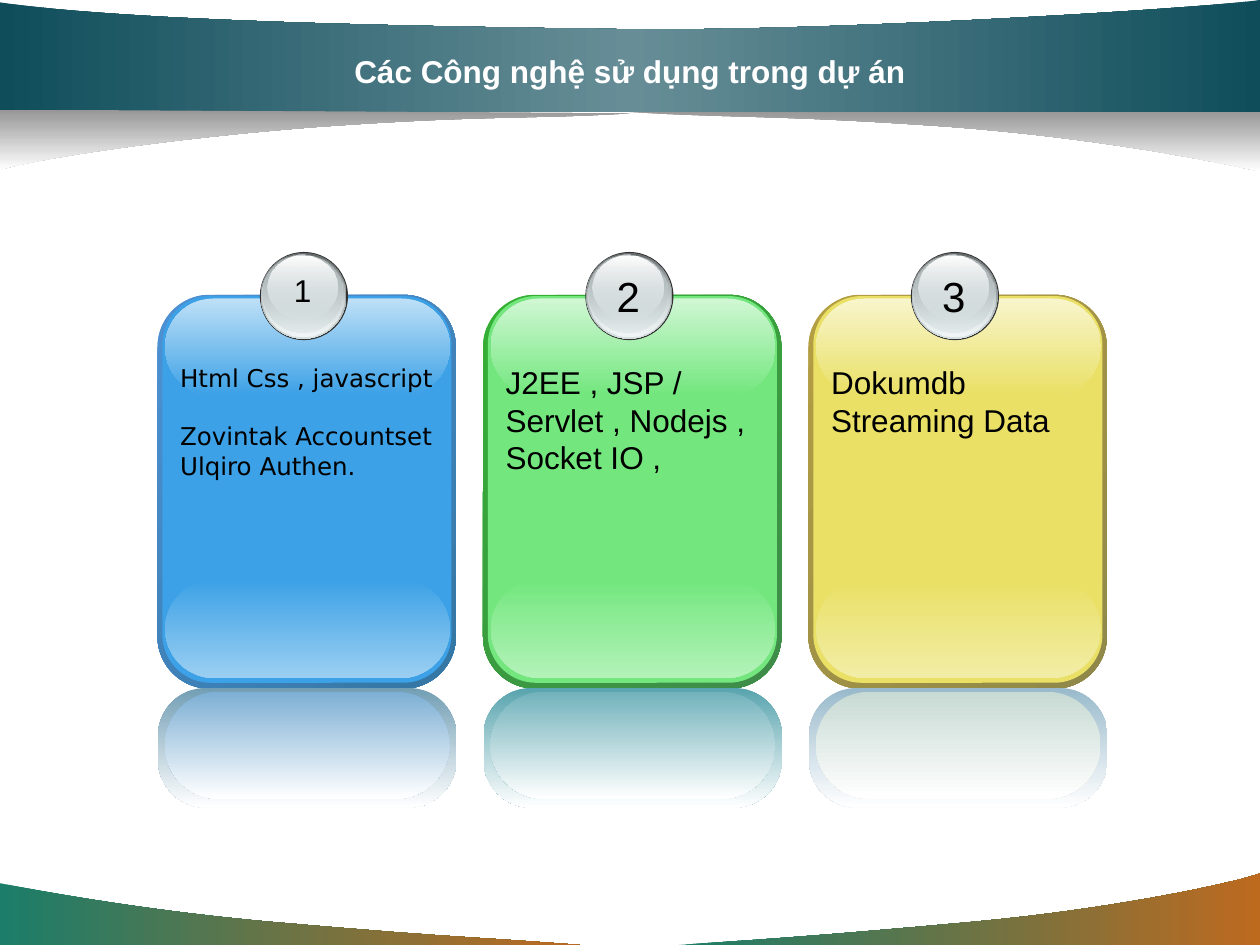
from dataclasses import dataclass
from typing import NamedTuple

from lxml import etree
from pptx import Presentation
from pptx.dml.color import RGBColor
from pptx.enum.shapes import MSO_SHAPE
from pptx.enum.text import MSO_ANCHOR, PP_ALIGN
from pptx.oxml.ns import qn
from pptx.shapes.autoshape import Shape
from pptx.shapes.shapetree import SlideShapes
from pptx.util import Pt

ROUNDED = MSO_SHAPE.ROUNDED_RECTANGLE
OVAL = MSO_SHAPE.OVAL
CENTER = PP_ALIGN.CENTER
LEFT = PP_ALIGN.LEFT
MIDDLE = MSO_ANCHOR.MIDDLE
TOP = MSO_ANCHOR.TOP

ACROSS, DIAGONAL, DOWN = 0, 45, 90
CURVE_STEPS = 24


class Stop(NamedTuple):
    position: int
    color: str
    opacity: int = 100


class Fill(NamedTuple):
    stops: tuple[Stop, ...]
    angle: int = DOWN


class Box(NamedTuple):
    left: float
    top: float
    width: float
    height: float

    def shifted(self, distance: float) -> "Box":
        return self._replace(left=self.left + distance)


class Font(NamedTuple):
    name: str
    size: int
    color: str = "000000"
    bold: bool = False


def blend(start: str, end: str, angle: int = DOWN,
          opacities: tuple[int, int] = (100, 100)) -> Fill:
    return Fill((Stop(0, start, opacities[0]), Stop(100, end, opacities[1])), angle)


def solid(color: str) -> Fill:
    return Fill((Stop(0, color),))


@dataclass(frozen=True)
class Theme:
    header: Fill = Fill((Stop(0, "0F4D5B"), Stop(50, "678E97"), Stop(100, "0F4D5B")), ACROSS)
    header_shadow: Fill = blend("969696", "FFFFFF")
    footer: Fill = blend("1B7D6A", "BD6A1F", ACROSS)
    title: Font = Font("Arial", 18, "FFFFFF", True)
    small_number: Font = Font("Arial", 18)
    number: Font = Font("Arial", 24)
    small_body: Font = Font("DejaVu Sans", 14)
    body: Font = Font("Arial", 18)


THEME = Theme()


@dataclass(frozen=True)
class Card:
    number: str
    lines: tuple[str, ...]
    rim: tuple[str, str]
    face: str
    low_glow: str
    high_glow: str
    reflections: tuple[str, str]
    number_font: Font = THEME.number
    body_font: Font = THEME.body
    line_gap: float = 0


class Wave(NamedTuple):
    """Outline whose segments are one point (line) or three (cubic curve)."""
    fill: Fill
    start: tuple[float, float]
    segments: tuple


WAVES = (
    Wave(THEME.footer, (331.2, 540), (
        ((276.5, 535.7), (257.8, 535.7), (167, 527.8)),
        ((76.3, 520.6), (0.7, 504.7), (0, 504.7)), ((0, 540),))),
    Wave(THEME.footer, (388, 540), (
        ((442, 536.4), (465, 535), (553.7, 527)),
        ((642.2, 519), (712.8, 502.6), (720, 499)), ((720, 540),))),
    Wave(THEME.header_shadow, (360, 64), (
        ((420.5, 67.7), (446.4, 65.5), (545.8, 72.7)),
        ((646.6, 80.6), (718.6, 97.9), (720, 97.9)), ((720, 63.4),))),
    Wave(THEME.header, (0, 64), (
        ((720, 64),), ((720, 0),),
        ((694, 4.3), (470.2, 18.7), (350.6, 16.6)),
        ((231, 15), (72.7, 12.2), (0, 1.4)))),
    Wave(THEME.header_shadow, (360, 64.8), (
        ((299.5, 68.4), (279.4, 65.5), (179.3, 72.7)),
        ((79.2, 80.6), (7.9, 93.6), (0, 97.2)), ((0, 62.6),))),
)

CARDS = (
    Card("1", ("Html Css , javascript", "Zovintak Accountset Ulqiro Authen."),
         ("4E91D4", "3477A4"), "3CA1E6", "9BCFF2", "BEE0F7", ("729EB4", "7DAFD4"),
         THEME.small_number, THEME.small_body, 16.5),
    Card("2", ("J2EE , JSP / Servlet , Nodejs ,", "Socket IO ,"),
         ("34B034", "3F8B4A"), "73E77E", "B3F2B9", "D0F7D4", ("58A4AE", "72B2BB")),
    Card("3", ("Dokumdb", "Streaming Data"),
         ("B59F43", "8F8849"), "E9E065", "F2EDA6", "F8F5CC", ("99BACC", "C8DAD4")),
)
FIRST_CARD_LEFT, CARD_PITCH = 90, 186

BADGE_LAYERS = (
    (Box(58.5, 144, 50.4, 50.4), solid("333333")),
    (Box(59, 144.5, 49, 49), blend("636869", "D6E1E2")),
    (Box(59.6, 145, 47.5, 47.5), blend("D6E1E2", "F1F5F5", opacities=(0, 100))),
    (Box(60.3, 145.5, 45.4, 44.6), blend("AAB2B3", "D6E1E2", opacities=(100, 48))),
    (Box(62.8, 146.2, 40.3, 36), blend("FFFFFF", "D6E1E2", opacities=(100, 38))),
)


def paint(shape: Shape, fill: Fill) -> None:
    shape.shadow.inherit = False
    shape.line.fill.background()
    if len(fill.stops) == 1:
        shape.fill.solid()
        shape.fill.fore_color.rgb = RGBColor.from_string(fill.stops[0].color)
        return
    shape.fill.background()
    gradient = etree.Element(qn("a:gradFill"), rotWithShape="1")
    stop_list = etree.SubElement(gradient, qn("a:gsLst"))
    for stop in fill.stops:
        entry = etree.SubElement(stop_list, qn("a:gs"), pos=str(stop.position * 1000))
        color = etree.SubElement(entry, qn("a:srgbClr"), val=stop.color)
        if stop.opacity < 100:
            etree.SubElement(color, qn("a:alpha"), val=str(stop.opacity * 1000))
    etree.SubElement(gradient, qn("a:lin"), ang=str(fill.angle * 60000), scaled="0")
    properties = shape.element.spPr
    properties.replace(properties.find(qn("a:noFill")), gradient)


def add_wave(shapes: SlideShapes, wave: Wave) -> None:
    points = [wave.start]
    for segment in wave.segments:
        if len(segment) == 1:
            points.append(segment[0])
            continue
        controls = (points[-1], *segment)
        for step in range(1, CURVE_STEPS + 1):
            t = step / CURVE_STEPS
            weights = ((1 - t) ** 3, 3 * t * (1 - t) ** 2, 3 * t * t * (1 - t), t ** 3)
            points.append(tuple(sum(w * c[axis] for w, c in zip(weights, controls))
                                for axis in (0, 1)))
    outline = [(Pt(x), Pt(y)) for x, y in points]
    builder = shapes.build_freeform(*outline[0])
    builder.add_line_segments(outline[1:], close=True)
    paint(builder.convert_to_shape(), wave.fill)


def add_layer(shapes: SlideShapes, kind: MSO_SHAPE, box: Box, fill: Fill,
              rounding: float = 0.5) -> None:
    shape = shapes.add_shape(kind, *map(Pt, box))
    if kind == ROUNDED:
        shape.adjustments[0] = rounding
    paint(shape, fill)


def add_text(shapes: SlideShapes, box: Box, lines: tuple[str, ...], font: Font,
             align: PP_ALIGN = LEFT, anchor: MSO_ANCHOR = TOP, gap: float = 0) -> None:
    frame = shapes.add_textbox(*map(Pt, box)).text_frame
    frame.word_wrap = True
    frame.vertical_anchor = anchor
    frame.text = "\n".join(lines)
    for index, paragraph in enumerate(frame.paragraphs):
        paragraph.alignment = align
        paragraph.space_before = Pt(gap if index else 0)
        for run in paragraph.runs:
            run.font.name = font.name
            run.font.size = Pt(font.size)
            run.font.bold = font.bold
            run.font.color.rgb = RGBColor.from_string(font.color)


def add_card(shapes: SlideShapes, card: Card, left: float) -> None:
    layers = (
        (Box(0, 168.5, 170.5, 225), blend(*card.rim, DIAGONAL), 0.175),
        (Box(2.8, 169.2, 165.2, 221), solid(card.face), 0.167),
        (Box(4.4, 331.2, 162.7, 56.2), blend(card.face, card.low_glow), 0.5),
        (Box(4.4, 170.6, 162.7, 55.4), blend(card.high_glow, card.face), 0.5),
        (Box(0.3, 393.1, 170.5, 68.4), blend(card.reflections[0], "FFFFFF"), 0.4),
        (Box(4.2, 395.3, 162.7, 61.2), blend(card.reflections[1], "FFFFFF"), 0.5),
    )
    for box, fill, rounding in layers:
        add_layer(shapes, ROUNDED, box.shifted(left), fill, rounding)
    for box, fill in BADGE_LAYERS:
        add_layer(shapes, OVAL, box.shifted(left), fill)
    add_text(shapes, Box(65, 151.2, 36, 36).shifted(left), (card.number,),
             card.number_font, CENTER)
    add_text(shapes, Box(5.8, 203.8, 162, 75).shifted(left), card.lines,
             card.body_font, gap=card.line_gap)


def main() -> None:
    deck = Presentation()
    deck.slide_width, deck.slide_height = Pt(720), Pt(540)
    shapes = deck.slides.add_slide(deck.slide_layouts[6]).shapes
    for wave in WAVES:
        add_wave(shapes, wave)
    add_text(shapes, Box(51, 18, 618, 45), ("Các Công nghệ sử dụng trong dự án",),
             THEME.title, CENTER, MIDDLE)
    for index, card in enumerate(CARDS):
        add_card(shapes, card, FIRST_CARD_LEFT + index * CARD_PITCH)
    deck.save("out.pptx")


if __name__ == "__main__":
    main()
